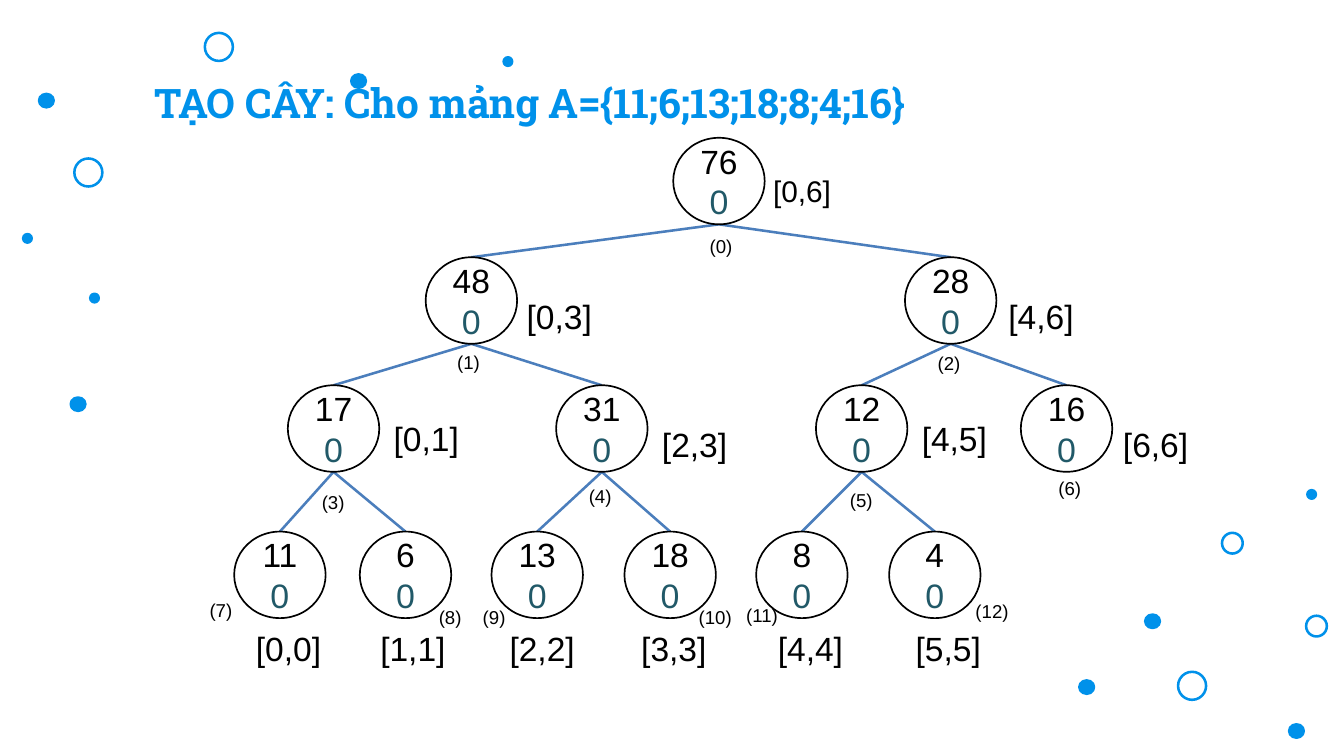
from lxml import etree
from pptx import Presentation, util as u
from pptx.dml.color import RGBColor
from pptx.enum import shapes, text
from pptx.oxml.ns import qn

# Grid of square cells, a tenth of an inch each
CELL = u.Inches(0.1)
COLUMNS, ROWS = 110.2, 62

COLORS = {"accent": "0091EA", "edge": "4B7EBC", "ink": "000000",
          "lazy": "215968", "paper": "FFFFFF"}

# Text formats: font settings and colour
TITLE = {"name": "Roboto Slab", "size": u.Pt(24), "bold": True, "color": "accent"}
VALUE = {"name": "Arial", "size": u.Pt(19.8), "color": "ink"}
LAZY = {**VALUE, "size": u.Pt(20), "color": "lazy"}
ROOT_RANGE = {**VALUE, "size": u.Pt(17.6)}
INDEX = {**VALUE, "size": u.Pt(11)}

# Background bubbles: (width, height, filled) and the places of each kind
BUBBLES = {
    (1.2, 1.1, True): [(88.5, 55.8), (93.9, 50.4), (105.7, 59.4),
                       (28.8, 6.1), (5.8, 32.6), (3.2, 7.7)],
    (0.7, 0.7, True): [(107.2, 40.2), (1.9, 19.2), (7.4, 24.1), (41.3, 4.7)],
    (2.3, 2.3, False): [(6.1, 13), (16.8, 2.7), (96.6, 55.1)],
    (1.7, 1.7, False): [(100.2, 43.7), (107.1, 50.5)],
}

# Segment tree in heap order, so node i hangs from node (i - 1) // 2
NODE_WIDTH, NODE_HEIGHT = 7.5, 7.1
LEVEL_TOPS = [11.3, 21.1, 31.6, 43.6]
# value, node column, range, range place, index place
NODES = [
    (76, 55.2, "[0,6]", (62.4, 13.7), (57.2, 18.8)),
    (48, 34.9, "[0,3]", (42.2, 23.8), (36.5, 28.3)),
    (28, 74.2, "[4,6]", (81.7, 23.8), (75.9, 28.4)),
    (17, 23.6, "[0,1]", (31.3, 33.8), (25.4, 39.8)),
    (31, 45.6, "[2,3]", (53.3, 34.3), (47.3, 39.3)),
    (12, 66.9, "[4,5]", (74.6, 33.8), (68.7, 39.6)),
    (16, 83.7, "[6,6]", (91.1, 34.3), (85.8, 38.6)),
    (11, 19.2, "[0,0]", (20, 51), (16.2, 48.6)),
    (6, 29.5, "[1,1]", (30.2, 51), (35, 49.2)),
    (13, 40.3, "[2,2]", (40.8, 51), (38.6, 49.2)),
    (18, 51.2, "[3,3]", (51.6, 51), (56.3, 49.2)),
    (8, 62, "[4,4]", (62.8, 51), (60.2, 49)),
    (4, 72.9, "[5,5]", (74.1, 51), (79, 48.7)),
]


def cells(*counts):
    return [round(count * CELL) for count in counts]


def rgb(name):
    return RGBColor.from_string(COLORS[name])


def write(paragraph, words, style):
    run = paragraph.add_run()
    run.text = words
    for key, setting in style.items():
        if key == "color":
            run.font.color.rgb = rgb(setting)
        else:
            setattr(run.font, key, setting)


def add_ellipse(slide, box, fill, line, weight):
    shape = slide.shapes.add_shape(shapes.MSO_SHAPE.OVAL, *cells(*box))
    shape.shadow.inherit = False
    if fill:
        shape.fill.solid()
        shape.fill.fore_color.rgb = rgb(fill)
    else:
        shape.fill.background()
    shape.line.color.rgb = rgb(line)
    shape.line.width = u.Pt(weight)
    return shape


def add_label(slide, words, place, size, style):
    frame = slide.shapes.add_textbox(*cells(*place, *size)).text_frame
    frame.word_wrap = True
    write(frame.paragraphs[0], words, style)


def add_edge(slide, start, end):
    edge = slide.shapes.add_connector(shapes.MSO_CONNECTOR.STRAIGHT,
                                      *cells(*start, *end))
    edge.line.color.rgb = rgb("edge")
    edge.line.width = u.Pt(1.5)
    etree.SubElement(edge._element.spPr, qn("a:effectLst"))


def add_node(slide, value, place):
    shape = add_ellipse(slide, (*place, NODE_WIDTH, NODE_HEIGHT), "paper", "ink", 1)
    frame = shape.text_frame
    settings = {"word_wrap": True, "vertical_anchor": text.MSO_ANCHOR.MIDDLE,
                "margin_left": 0, "margin_right": 0}
    for key, setting in settings.items():
        setattr(frame, key, setting)
    for paragraph, words, style in ((frame.paragraphs[0], str(value), VALUE),
                                    (frame.add_paragraph(), "0", LAZY)):
        paragraph.alignment = text.PP_ALIGN.CENTER
        write(paragraph, words, style)


def node_place(index):
    level = (index + 1).bit_length() - 1
    return NODES[index][1], LEVEL_TOPS[level]


def add_bubbles(slide):
    for (width, height, filled), places in BUBBLES.items():
        for place in places:
            add_ellipse(slide, (*place, width, height),
                        "accent" if filled else None, "accent", 1.5)


def add_tree(slide):
    # Edges run from the foot of the parent to the head of the child
    for child in range(1, len(NODES)):
        left, top = node_place((child - 1) // 2)
        child_left, child_top = node_place(child)
        add_edge(slide, (left + NODE_WIDTH / 2, top + NODE_HEIGHT),
                 (child_left + NODE_WIDTH / 2, child_top))
    for index, node in enumerate(NODES):
        add_node(slide, node[0], node_place(index))
    # Labels lie above all nodes
    for index, (_, _, span, span_place, index_place) in enumerate(NODES):
        add_label(slide, span, span_place, (7.7, 4.3), VALUE if index else ROOT_RANGE)
        add_label(slide, f"({index})", index_place, (5.4, 2.9), INDEX)


def main():
    presentation = Presentation()
    presentation.slide_width, presentation.slide_height = cells(COLUMNS, ROWS)
    slide = presentation.slides.add_slide(presentation.slide_layouts[6])
    add_bubbles(slide)
    add_tree(slide)
    add_label(slide, "TẠO CÂY: Cho mảng A={11;6;13;18;8;4;16}",
              (11.7, 5.9), (100.4, 5), TITLE)
    presentation.save("out.pptx")


main()
